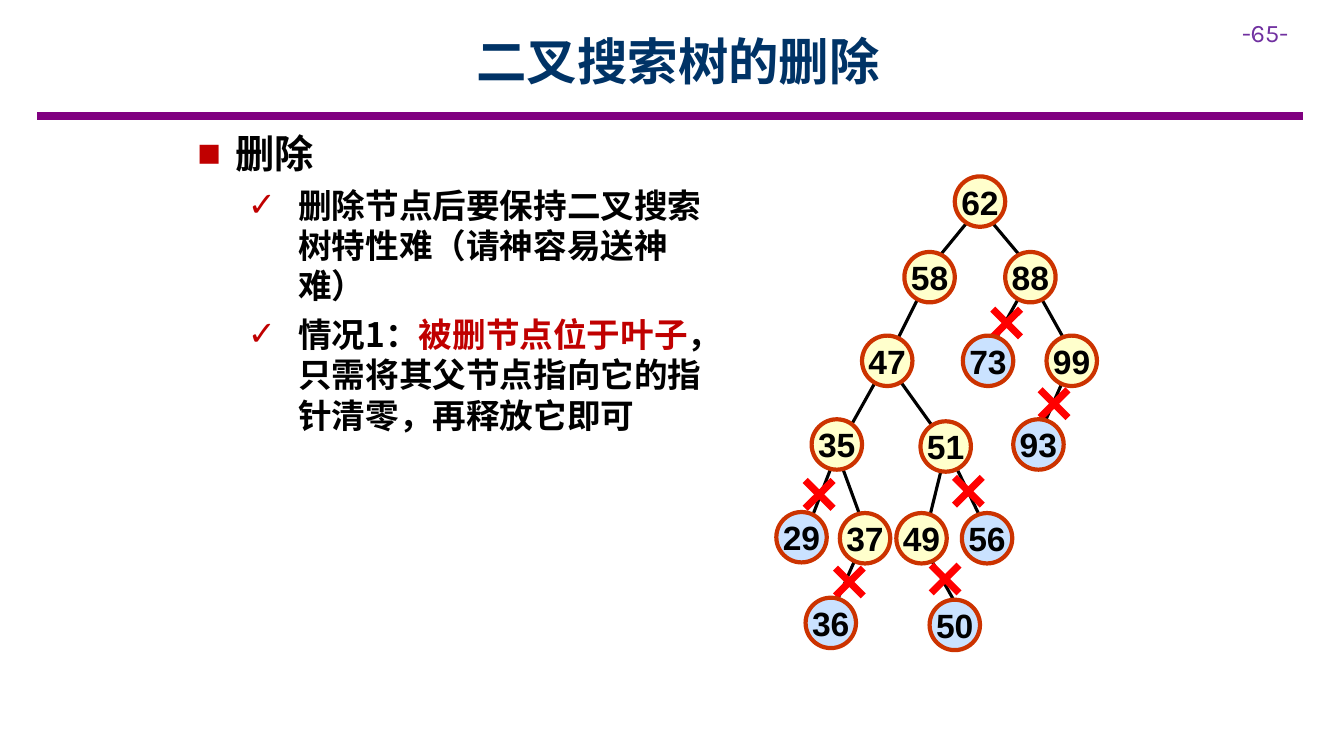
from lxml import etree
from pptx import Presentation
from pptx import util as u
from pptx.dml.color import RGBColor
from pptx.enum import shapes, text
from pptx.oxml import ns

HAN = "Noto Sans CJK SC"
RED = "C00000"
KEEP, DROP = "FFFFCC", "CAE2FF"
SIZE, CROSS = 0.5, 0.53

EDGES = [
    (9.5, 4.67, 9.79, 5.27), (8.57, 5.35, 8.24, 6.1),
    (9.2, 5.49, 9.53, 6.08), (10.63, 3.58, 10.3, 4.33),
    (10.13, 2.91, 9.8, 3.5), (8.27, 4.57, 8, 5.27),
    (9.35, 4.6, 9.21, 5.17), (8.87, 3.7, 9.3, 4.3),
    (9.13, 2.91, 8.88, 3.41), (10.3, 2.91, 10.63, 3.5),
    (9.63, 2.16, 9.22, 2.66), (9.8, 2.16, 10.22, 2.66),
    (8.33, 4.57, 8.55, 5.17), (8.71, 3.74, 8.38, 4.33),
]
INNER = [
    (62, 9.47, 1.75), (88, 9.97, 2.5), (51, 9.13, 4.18),
    (58, 8.97, 2.5), (99, 10.38, 3.33), (49, 8.89, 5.09),
    (35, 8.05, 4.16), (37, 8.33, 5.09), (47, 8.55, 3.33),
]
CUTS = [(7.86, 4.64), (8.16, 5.51), (9.11, 5.48),
        (9.34, 4.61), (9.72, 2.94), (10.19, 3.74)]
LEAVES = [
    (29, 7.7, 5.08), (36, 7.99, 5.93), (56, 9.54, 5.09),
    (50, 9.22, 5.95), (73, 9.55, 3.33), (93, 10.05, 4.16),
]
# level, size, left margin, hanging indent, bullet, runs
POINTS = [
    (0, 28, 0.38, 0.38, "■", [("删除", "000000")]),
    (1, 24, 1, 0.5, "✓",
     [("删除节点后要保持二叉搜索树特性难（请神容易送神难）", "000000")]),
    (1, 24, 1, 0.5, "✓",
     [("情况1：", "000000"), ("被删节点位于叶子", RED),
      ("，只需将其父节点指向它的指针清零，再释放它即可", "000000")]),
]


def color(code):
    return RGBColor.from_string(code)


def box(*nums):
    return [u.Inches(n) for n in nums]


class Page:
    def __init__(self, slide):
        self.slide = slide
        self.items = slide.shapes

    def run(self, para, words, size, tone, face=HAN, bold=True):
        run = para.add_run()
        run.text = words
        font = run.font
        font.size, font.bold, font.name = u.Pt(size), bold, face
        font.color.rgb = color(tone)
        if face == HAN:
            props = run._r.get_or_add_rPr()
            etree.SubElement(props, ns.qn("a:ea"), typeface=face)

    def title(self, words):
        title = self.items.title
        title.left, title.top, title.width, title.height = box(
            2.57, 0.1, 8.31, 1)
        frame = title.text_frame
        frame.vertical_anchor = text.MSO_ANCHOR.MIDDLE
        para = frame.paragraphs[0]
        para.alignment = text.PP_ALIGN.CENTER
        self.run(para, words, 36, "003366")

    def line(self, ends, tone="000000", width=2.25):
        line = self.items.add_connector(
            shapes.MSO_CONNECTOR.STRAIGHT, *box(*ends))
        line.line.color.rgb = color(tone)
        line.line.width = u.Pt(width)
        etree.SubElement(line._element.spPr, ns.qn("a:effectLst"))

    def frame(self, *area):
        frame = self.items.add_textbox(*box(*area)).text_frame
        frame.word_wrap = True
        return frame

    def bullet(self, para, mark, left, hang):
        props = para._p.get_or_add_pPr()
        props.set("marL", str(u.Inches(left)))
        props.set("indent", str(-u.Inches(hang)))
        tint = etree.SubElement(props, ns.qn("a:buClr"))
        etree.SubElement(tint, ns.qn("a:srgbClr"), val=RED)
        etree.SubElement(props, ns.qn("a:buFont"), typeface="Arial")
        etree.SubElement(props, ns.qn("a:buChar"), char=mark)

    def points(self, rows):
        frame = self.frame(1.86, 1.23, 5.28, 3.25)
        for i, (level, size, left, hang, mark, runs) in enumerate(rows):
            para = frame.add_paragraph() if i else frame.paragraphs[0]
            para.level = level
            self.bullet(para, mark, left, hang)
            para.space_after = u.Pt(6)
            for words, tone in runs:
                self.run(para, words, size, tone)

    def shape(self, kind, x, y, size, fill):
        shape = self.items.add_shape(kind, *box(x, y, size, size))
        shape.shadow.inherit = False
        shape.fill.solid()
        shape.fill.fore_color.rgb = color(fill)
        return shape

    def node(self, key, x, y, fill):
        node = self.shape(shapes.MSO_SHAPE.OVAL, x, y, SIZE, fill)
        node.line.color.rgb = color("CC3300")
        node.line.width = u.Pt(3)
        frame = node.text_frame
        frame.margin_left = frame.margin_right = 0
        frame.margin_top = frame.margin_bottom = 0
        frame.word_wrap = False
        frame.vertical_anchor = text.MSO_ANCHOR.MIDDLE
        para = frame.paragraphs[0]
        para.alignment = text.PP_ALIGN.CENTER
        self.run(para, str(key), 24, "000000", "Arial")

    def cross(self, x, y):
        cross = self.shape(
            shapes.MSO_SHAPE.MATH_MULTIPLY, x, y, CROSS, "FF0000")
        cross.adjustments[0] = 0.133
        cross.line.fill.background()


def main():
    deck = Presentation()
    deck.slide_width, deck.slide_height = box(13.33, 7.5)
    page = Page(deck.slides.add_slide(deck.slide_layouts[5]))
    page.title("二叉搜索树的删除")
    page.line((0.37, 1.15, 12.92, 1.15), "800080", 6)
    number = page.frame(12.22, 0.12, 1.11, 0.4).paragraphs[0]
    page.run(number, "-65-", 18, "7030A0", "Karla", False)
    page.points(POINTS)
    for ends in EDGES:
        page.line(ends)
    for key, x, y in INNER:
        page.node(key, x, y, KEEP)
    for x, y in CUTS:
        page.cross(x, y)
    for key, x, y in LEAVES:
        page.node(key, x, y, DROP)
    deck.save("out.pptx")


if __name__ == "__main__":
    main()
